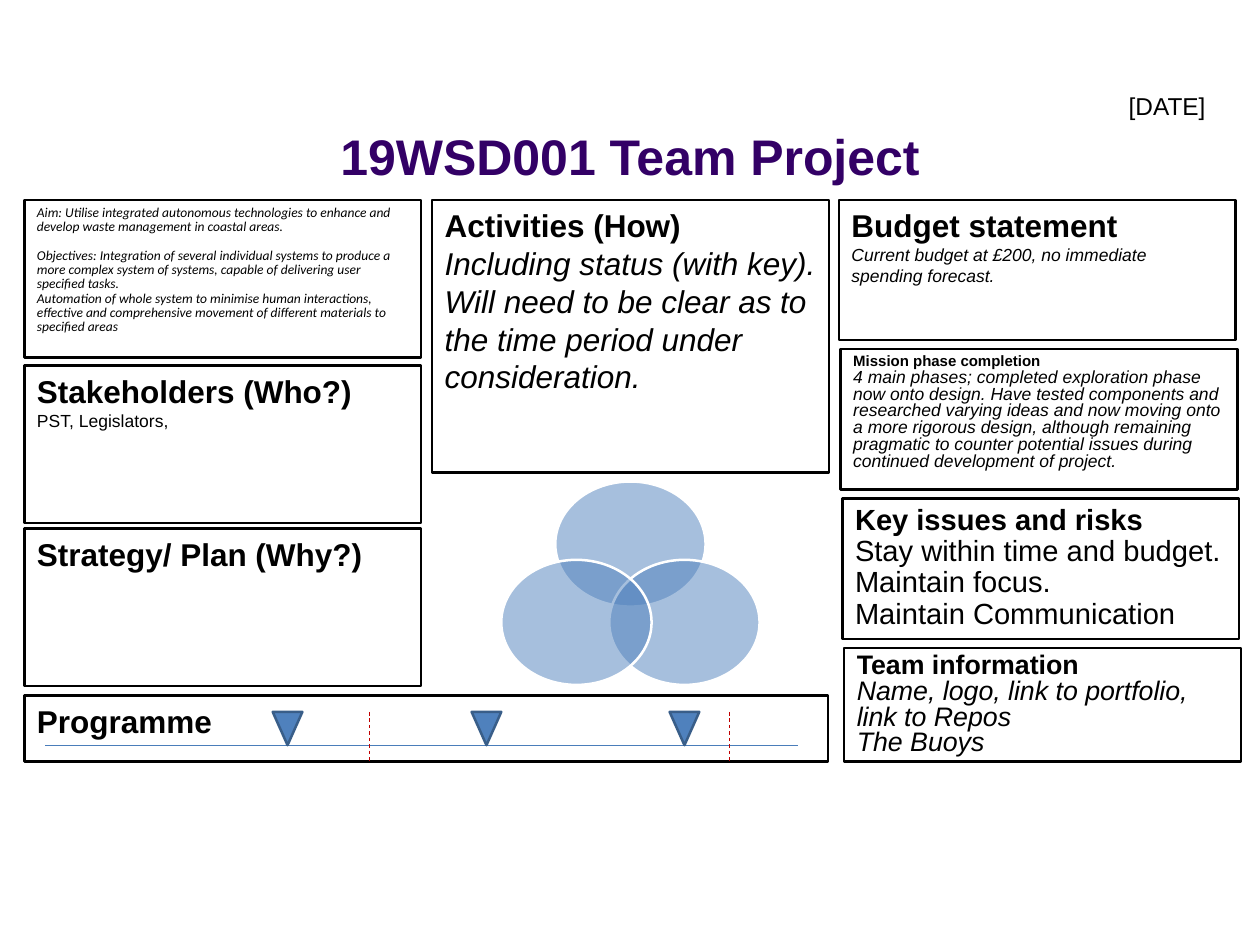
from lxml import etree
from pptx import Presentation
from pptx.dml.color import RGBColor
from pptx.enum.dml import MSO_LINE as Dash
from pptx.enum.shapes import MSO_CONNECTOR as Conn, MSO_SHAPE as Kind
from pptx.enum.text import MSO_ANCHOR as Anchor, PP_ALIGN as Align
from pptx.oxml.ns import qn
from pptx.util import Inches, Pt

LEFT, MID = 0.27, 4.8
WIDE = 4.41


def color(code):
    """Turn a hex string into a colour."""
    return RGBColor.from_string(code)


def write(frame, paras, size, font="Arial", ink="000000", space=None,
          align=Align.LEFT, anchor=Anchor.TOP, wrap=True):
    """Fill a frame with (text, style, size, gap) paragraphs; style holds b or i."""
    frame.word_wrap = wrap
    frame.vertical_anchor = anchor
    frame.margin_left = frame.margin_right = Inches(0.14)
    frame.margin_top = frame.margin_bottom = Inches(0.07)
    for num, (text, style, own, gap) in enumerate(paras):
        para = frame.paragraphs[0] if num == 0 else frame.add_paragraph()
        para.alignment = align
        para.space_before = Pt(gap)
        if space:
            para.line_spacing = space
        run = para.add_run()
        run.text = text
        run.font.name = font
        run.font.size = Pt(own or size)
        run.font.bold = "b" in style
        run.font.italic = "i" in style
        run.font.color.rgb = color(ink)


def para(text, style="", size=None, gap=0):
    """Describe one paragraph."""
    return text, style, size, gap


def label(slide, spot, text, size, **look):
    """Add a text box with one line."""
    box = slide.shapes.add_textbox(*map(Inches, spot))
    write(box.text_frame, [para(*text)], size, anchor=Anchor.MIDDLE, **look)


def form(slide, kind, spot, fill, edge):
    """Add a preset shape with a 2 pt outline."""
    shape = slide.shapes.add_shape(kind, *map(Inches, spot))
    shape.shadow.inherit = False
    shape.fill.solid()
    shape.fill.fore_color.rgb = color(fill)
    shape.line.color.rgb = color(edge)
    shape.line.width = Pt(2)
    return shape


def panel(slide, spot, paras, size=25.2, **look):
    """Add a white framed panel with text."""
    shape = form(slide, Kind.RECTANGLE, spot, "FFFFFF", "000000")
    write(shape.text_frame, paras, size, **look)


def circle(slide, left, top):
    """Add one half clear ellipse of the Venn diagram."""
    shape = form(slide, Kind.OVAL, (left, top, 1.67, 1.39), "4F81BD", "FFFFFF")
    tint = shape.fill._xPr.find(qn("a:solidFill"))[0]
    etree.SubElement(tint, qn("a:alpha")).set("val", "50000")


def rule(slide, start, end, ink, dash=None):
    """Add a thin straight line."""
    line = slide.shapes.add_connector(Conn.STRAIGHT, *map(Inches, start + end))
    line.line.color.rgb = color(ink)
    line.line.width = Pt(0.75)
    if dash:
        line.line.dash_style = dash
    etree.SubElement(line._element.spPr, qn("a:effectLst"))


def left_side(slide):
    """Add the aim, stakeholder and strategy panels."""
    panel(slide, (LEFT, 2.22, WIDE, 1.75), [
        para("Aim: Utilise integrated autonomous technologies to enhance and "
             "develop waste management in coastal areas.", "i"),
        para("Objectives: Integration of several individual systems to produce "
             "a more complex system of systems, capable of delivering user "
             "specified tasks.", "i", gap=11.6),
        para("Automation of whole system to minimise human interactions,", "i"),
        para("effective and comprehensive movement of different materials to "
             "specified areas", "i"),
    ], 10.8, font="Calibri", space=0.88)
    panel(slide, (LEFT, 4.06, WIDE, 1.75), [
        para("Stakeholders (Who?)", "b"), para("PST, Legislators,", size=14)])
    panel(slide, (LEFT, 5.87, WIDE, 1.75), [para("Strategy/ Plan (Why?)", "b")])


def middle(slide):
    """Add the activities panel and the Venn diagram."""
    panel(slide, (MID, 2.22, WIDE, 3.03), [
        para("Activities (How)", "b"),
        para("Including status (with key). Will need to be clear as to the "
             "time period under consideration.", "i")])
    for left, top in ((6.17, 5.35), (6.77, 6.22), (5.57, 6.22)):
        circle(slide, left, top)


def right_side(slide):
    """Add the four panels on the right, each a little further out."""
    parts = [
        (25.2, None, 1.56, [
            para("Budget statement", "b"),
            para("Current budget at £200, no immediate spending forecast.",
                 "i", 14)]),
        (14, 0.8, 1.56, [
            para("Mission phase completion", "b", 12),
            para("4 main phases; completed exploration phase now onto design. "
                 "Have tested components and researched varying ideas and now "
                 "moving onto a more rigorous design, although remaining "
                 "pragmatic to counter potential issues during continued "
                 "development of project.", "i")]),
        (23.3, 0.9, 1.56, [
            para("Key issues and risks", "b"),
            para("Stay within time and budget."),
            para("Maintain focus."),
            para("Maintain Communication")]),
        (21.4, 0.8, 1.26, [
            para("Team information", "b"),
            para("Name, logo, link to portfolio, link to Repos", "i"),
            para("The Buoys", "i")]),
    ]
    for num, (size, space, high, paras) in enumerate(parts):
        spot = (9.32 + 0.02 * num, 2.22 + 1.66 * num, WIDE, high)
        panel(slide, spot, paras, size, space=space)


def programme(slide):
    """Add the time line with its markers and breaks."""
    panel(slide, (LEFT, 7.73, 8.93, 0.73), [para("Programme", "b")])
    rule(slide, (0.5, 8.28), (8.87, 8.28), "4A7DBA")
    for left in (3.03, 5.24, 7.44):
        mark = form(slide, Kind.ISOSCELES_TRIANGLE, (left, 7.91, 0.33, 0.37),
                    "4F81BD", "395E89")
        mark.rotation = 180
    for left in (4.11, 8.1):
        rule(slide, (left, 7.91), (left, 8.47), "C00000", Dash.DASH)


def main():
    """Build the slide and save it."""
    deck = Presentation()
    deck.slide_width, deck.slide_height = Inches(14), Inches(10.5)
    slide = deck.slides.add_slide(deck.slide_layouts[6])
    label(slide, (0.7, 1.23, 12.6, 0.99), ("19WSD001 Team Project", "b"), 40,
          ink="330066", align=Align.CENTER)
    label(slide, (12.4, 1, 1.18, 0.44), ("[DATE]",), 19.5, space=0.7,
          wrap=False)
    left_side(slide)
    middle(slide)
    right_side(slide)
    programme(slide)
    deck.save("out.pptx")


main()
